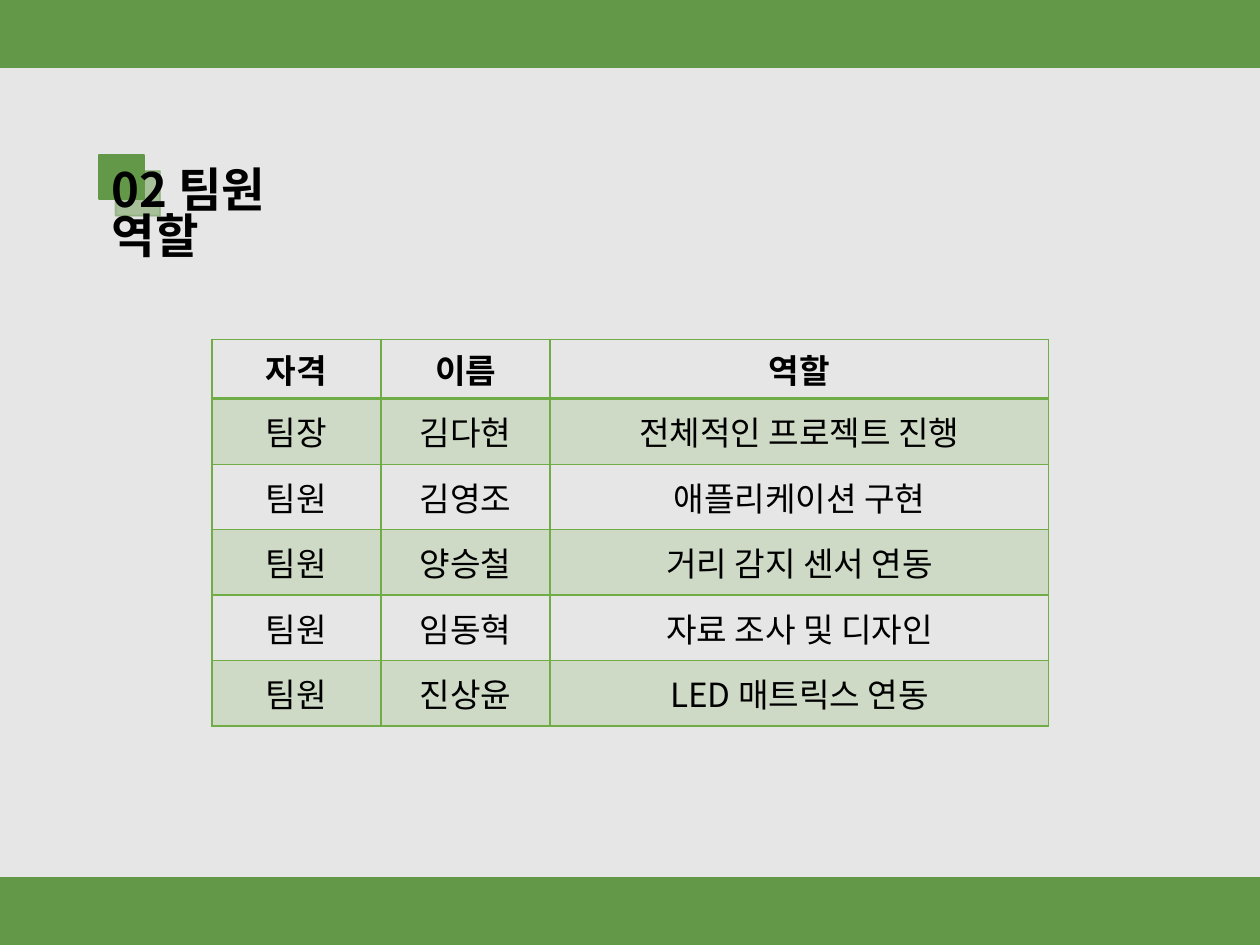
from lxml.etree import SubElement as Sub
from pptx import Presentation
from pptx.dml.color import RGBColor as RGB
from pptx.enum.shapes import MSO_SHAPE as Kind
from pptx.enum.text import MSO_ANCHOR as Anchor, PP_ALIGN as Align
from pptx.oxml.ns import qn
from pptx.util import Cm, Pt

COLORS = {"back": "E7E6E6", "green": "639848", "grid": "70AD47", "text": "000000"}
FONT = "Noto Sans CJK KR"
WIDE, HIGH = 25.4, 19.05
ROWS = [
    ("자격", "이름", "역할"),
    ("팀장", "김다현", "전체적인 프로젝트 진행"),
    ("팀원", "김영조", "애플리케이션 구현"),
    ("팀원", "양승철", "거리 감지 센서 연동"),
    ("팀원", "임동혁", "자료 조사 및 디자인"),
    ("팀원", "진상윤", "LED 매트릭스 연동"),
]


def paint(fill, name, alpha=100):
    """Fill with a named colour, alpha in percent."""
    fill.solid()
    fill.fore_color.rgb = RGB.from_string(COLORS[name])
    if alpha < 100:
        for clr in fill._xPr.iter(qn("a:srgbClr")):
            Sub(clr, qn("a:alpha"), val=str(alpha * 1000))


def style(para, size, bold):
    for run in para.runs:
        font = run.font
        font.name, font.size, font.bold = FONT, Pt(size), bold
        font.color.rgb = RGB.from_string(COLORS["text"])
        Sub(run._r.get_or_add_rPr(), qn("a:ea"), typeface=FONT)


def add_rect(shapes, x, y, w, h, alpha=100):
    rect = shapes.add_shape(Kind.RECTANGLE, Cm(x), Cm(y), Cm(w), Cm(h))
    rect.shadow.inherit = False
    paint(rect.fill, "green", alpha)
    rect.line.width = Pt(1)
    paint(rect.line.fill, "green", alpha)


def add_title(slide, x, y, text):
    shapes = slide.shapes.add_group_shape().shapes
    side, step = 0.9, 0.33
    add_rect(shapes, x, y, side, side)
    add_rect(shapes, x + step, y + step, side, side, 48)
    box = shapes.add_textbox(Cm(x), Cm(y + 0.18), Cm(4.62), Cm(1.4))
    frame = box.text_frame
    frame.word_wrap = True
    frame.text = text
    para = frame.paragraphs[0]
    para.line_spacing = 0.82
    style(para, 27, True)


def add_edges(cell, head):
    """Draw the four borders, with a heavier one below the head row."""
    props = cell._tc.get_or_add_tcPr()
    for spot, side in enumerate("LRTB"):
        width = Pt(2 if head and side == "B" else 1)
        edge = Sub(props, qn(f"a:ln{side}"), w=str(width))
        fill = Sub(edge, qn("a:solidFill"))
        Sub(fill, qn("a:srgbClr"), val=COLORS["grid"])
        props.insert(spot, edge)


def add_roles(slide, x, y, w, h):
    widths = [3.41, 3.41, w - 6.82]
    top = 1.2
    rest = (h - top) / (len(ROWS) - 1)
    table = slide.shapes.add_table(
        len(ROWS), len(widths), Cm(x), Cm(y), Cm(w), Cm(h)
    ).table
    table.first_row = table.horz_banding = False
    for col, width in zip(table.columns, widths):
        col.width = Cm(width)
    for r, texts in enumerate(ROWS):
        table.rows[r].height = Cm(rest if r else top)
        for c, text in enumerate(texts):
            cell = table.cell(r, c)
            cell.text = text
            cell.vertical_anchor = Anchor.MIDDLE
            cell.margin_top = cell.margin_bottom = Cm(0.08)
            para = cell.text_frame.paragraphs[0]
            para.alignment = Align.CENTER
            style(para, 19, r == 0)
            if r % 2:
                paint(cell.fill, "grid", 20)
            else:
                cell.fill.background()
            add_edges(cell, r == 0)


def main():
    deck = Presentation()
    deck.slide_width, deck.slide_height = Cm(WIDE), Cm(HIGH)
    slide = deck.slides.add_slide(deck.slide_layouts[6])
    paint(slide.background.fill, "back")
    bar = 1.35
    for y in (0, HIGH - bar):
        add_rect(slide.shapes, 0, y, WIDE, bar)
    add_title(slide, 2, 3.12, "02 팀원 역할")
    add_roles(slide, 4.27, 6.84, 16.87, 7.8)
    deck.save("out.pptx")


if __name__ == "__main__":
    main()
